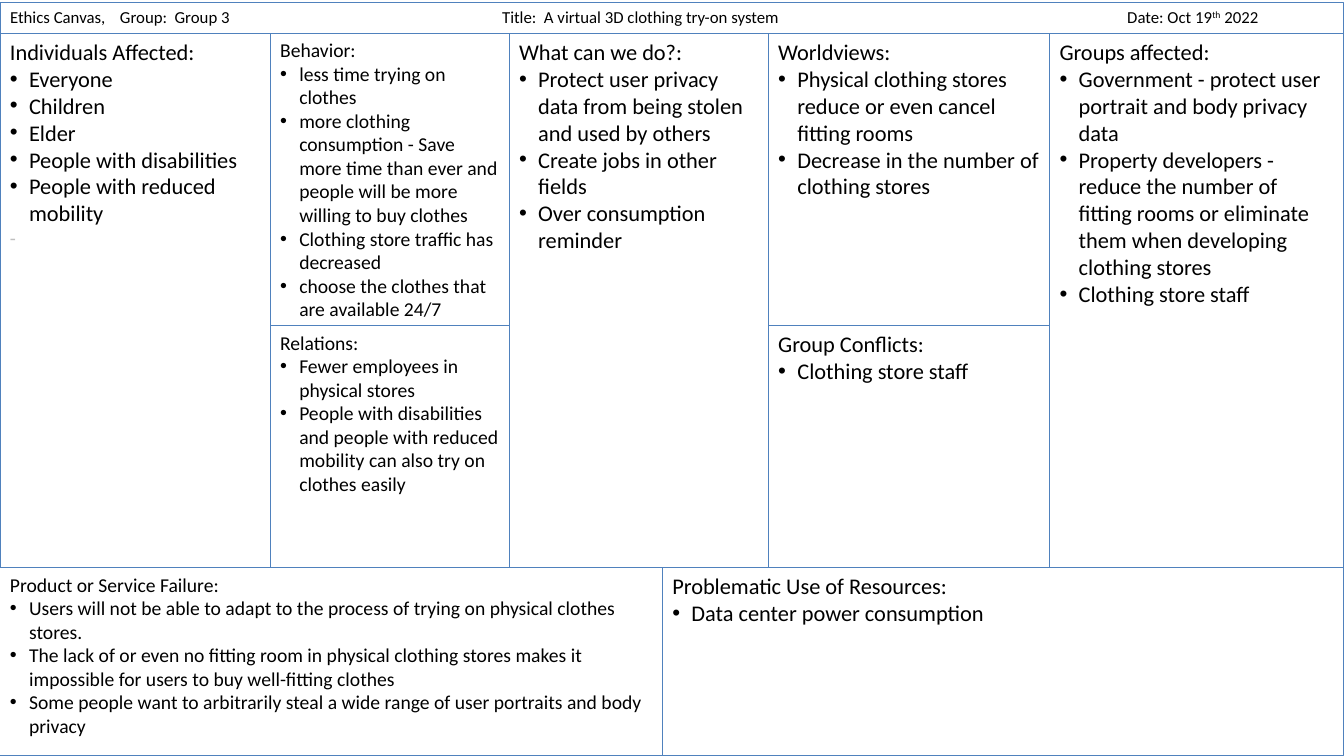
from dataclasses import dataclass

from lxml import etree
from pptx import Presentation
from pptx import util as u
from pptx.dml.color import RGBColor
from pptx.enum import shapes, text
from pptx.oxml import ns

BLUE = RGBColor(0x4F, 0x81, 0xBD)
BLACK = RGBColor(0, 0, 0)
GREY = RGBColor(0xBF, 0xBF, 0xBF)
FONT = "Calibri"
INDENT = u.Inches(0.19)

# Grid edges in inches: five upper columns, two lower ones
UPPER = (0, 2.68, 5.05, 7.62, 10.41, 13.33)
LOWER = (0, 6.57, 13.33)
ROWS = (0.33, 3.23, 5.63, 7.5)
HEADER_TOP = 0.02
HEADER_TABS = (1.09, 4.88, 11.08)


@dataclass(frozen=True)
class Panel:
    heading: str
    bullets: tuple[str, ...]
    column: int
    row: int
    row_span: int = 1
    size: int = 16
    edges: tuple[float, ...] = UPPER
    closing: str = ""


PANELS = (
    Panel("Individuals Affected:",
          ("Everyone", "Children", "Elder", "People with disabilities",
           "People with reduced mobility"), 0, 0, row_span=2, closing="-"),
    Panel("Behavior:",
          ("less time trying on clothes",
           "more clothing consumption - Save more time than ever and people "
           "will be more willing to buy clothes",
           "Clothing store traffic has decreased",
           "choose the clothes that are available 24/7"), 1, 0, size=14),
    Panel("What can we do?:",
          ("Protect user privacy data from being stolen and used by others",
           "Create jobs in other fields",
           "Over consumption reminder"), 2, 0, row_span=2),
    Panel("Worldviews:",
          ("Physical clothing stores reduce or even cancel fitting rooms",
           "Decrease in the number of clothing stores"), 3, 0),
    Panel("Groups affected:",
          ("Government - protect user portrait and body privacy data",
           "Property developers - reduce the number of fitting rooms or "
           "eliminate them when developing clothing stores",
           "Clothing store staff"), 4, 0, row_span=2),
    Panel("Group Conflicts:", ("Clothing store staff",), 3, 1),
    Panel("Relations:",
          ("Fewer employees in physical stores",
           "People with disabilities and people with reduced mobility can "
           "also try on clothes easily"), 1, 1, size=14),
    Panel("Problematic Use of Resources:",
          ("Data center power consumption",), 1, 2, edges=LOWER),
    Panel("Product or Service Failure:",
          ("Users will not be able to adapt to the process of trying on "
           "physical clothes stores.",
           "The lack of or even no fitting room in physical clothing stores "
           "makes it impossible for users to buy well-fitting clothes",
           "Some people want to arbitrarily steal a wide range of user "
           "portraits and body privacy"), 0, 2, size=14, edges=LOWER),
)


def apply(target, formats: dict) -> None:
    for name, value in formats.items():
        setattr(target, name, value)


def add_run(paragraph, words: str, size: float, color: RGBColor = BLACK):
    run = paragraph.add_run()
    run.text = words
    apply(run.font, {"name": FONT, "size": u.Pt(size), "bold": False})
    run.font.color.rgb = color
    return run


def add_bullet(paragraph) -> None:
    properties = paragraph._p.get_or_add_pPr()
    properties.set("marL", str(INDENT))
    properties.set("indent", str(-INDENT))
    etree.SubElement(properties, ns.qn("a:buFont"), typeface="Arial")
    etree.SubElement(properties, ns.qn("a:buChar"), char="•")


def frame_box(shape) -> None:
    """Give a box its thin blue outline and top-aligned wrapped text."""
    shape.fill.background()
    shape.line.color.rgb = BLUE
    shape.line.width = u.Pt(0.75)
    apply(shape.text_frame, {
        "word_wrap": True,
        "auto_size": text.MSO_AUTO_SIZE.NONE,
        "vertical_anchor": text.MSO_ANCHOR.TOP,
    })


def draw_header(title) -> None:
    apply(title, {"left": 0, "top": u.Inches(HEADER_TOP),
                  "width": u.Inches(UPPER[-1]),
                  "height": u.Inches(ROWS[0] - HEADER_TOP)})
    frame_box(title)
    paragraph = title.text_frame.paragraphs[0]
    paragraph.alignment = text.PP_ALIGN.LEFT
    tabs = etree.SubElement(paragraph._p.get_or_add_pPr(), ns.qn("a:tabLst"))
    for position in HEADER_TABS:
        etree.SubElement(tabs, ns.qn("a:tab"),
                         pos=str(u.Inches(position)), algn="l")
    add_run(paragraph, "Ethics Canvas,\tGroup:  Group 3\t"
            "Title:  A virtual 3D clothing try-on system\tDate: Oct 19", 12)
    ordinal = add_run(paragraph, "th", 12)
    ordinal.font._element.set("baseline", "30000")
    add_run(paragraph, " 2022", 12)


def draw_panel(slide, panel: Panel) -> None:
    left, right = panel.edges[panel.column:panel.column + 2]
    top, bottom = ROWS[panel.row], ROWS[panel.row + panel.row_span]
    box = slide.shapes.add_shape(
        shapes.MSO_SHAPE.RECTANGLE, u.Inches(left), u.Inches(top),
        u.Inches(right - left), u.Inches(bottom - top))
    box.shadow.inherit = False
    frame_box(box)
    frame = box.text_frame
    add_run(frame.paragraphs[0], panel.heading, panel.size)
    for bullet in panel.bullets:
        paragraph = frame.add_paragraph()
        add_bullet(paragraph)
        add_run(paragraph, bullet, panel.size)
    if panel.closing:
        add_run(frame.add_paragraph(), panel.closing, 14, GREY)
    for paragraph in frame.paragraphs:
        paragraph.alignment = text.PP_ALIGN.LEFT


def main() -> None:
    presentation = Presentation()
    presentation.slide_width = u.Inches(UPPER[-1])
    presentation.slide_height = u.Inches(ROWS[-1])
    title_only = presentation.slide_layouts[5]
    slide = presentation.slides.add_slide(title_only)

    # Header bar, then the canvas panels
    draw_header(slide.shapes.title)
    for panel in PANELS:
        draw_panel(slide, panel)
    presentation.save("out.pptx")


if __name__ == "__main__":
    main()
